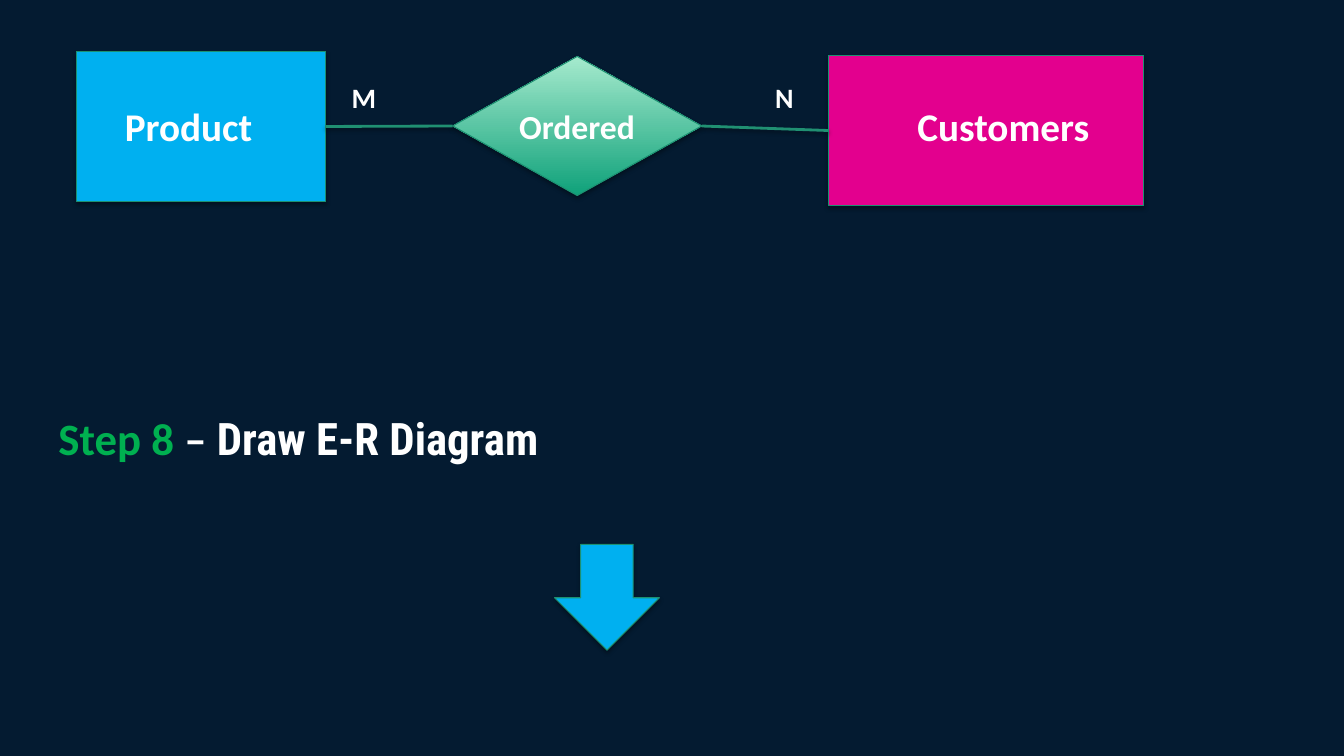
from lxml import etree
from pptx import Presentation
from pptx.dml.color import RGBColor
from pptx.enum.shapes import MSO_CONNECTOR, MSO_SHAPE
from pptx.enum.text import MSO_ANCHOR, MSO_AUTO_SIZE, PP_ALIGN
from pptx.oxml.ns import qn
from pptx.util import Pt

PX = 9144  # 100 px to the inch

NAVY = RGBColor(0x04, 0x1B, 0x31)
WHITE = RGBColor(0xFF, 0xFF, 0xFF)
BLUE = RGBColor(0x00, 0xB0, 0xF0)
PINK = RGBColor(0xE3, 0x00, 0x8E)
STEP_GREEN = RGBColor(0x00, 0xB0, 0x50)
DARK_GREEN = RGBColor(0x0F, 0xA1, 0x7A)
LIGHT_GREEN = RGBColor(0xA5, 0xEA, 0xCD)
OUTLINE = RGBColor(0x1D, 0x90, 0x71)
LINK = RGBColor(0x20, 0x90, 0x72)

LEFT_SITE, RIGHT_SITE = 1, 3  # connection sites of rectangles and diamonds


def px(*lengths):
    return [length * PX for length in lengths]


def add_shadow(shape, distance, opacity):
    """Give the shape a soft black shadow straight below it."""
    effects = etree.SubElement(shape._element.spPr, qn("a:effectLst"))
    shadow = etree.SubElement(
        effects, qn("a:outerShdw"), blurRad=str(Pt(3.1)),
        dist=str(Pt(distance)), dir="5400000", rotWithShape="0")
    color = etree.SubElement(shadow, qn("a:srgbClr"), val="000000")
    etree.SubElement(color, qn("a:alpha"), val=str(opacity * 1000))


def format_span(span, size, color, font="Calibri"):
    span.font.name = font
    span.font.size = Pt(size)
    span.font.bold = True
    span.font.color.rgb = color


def add_block(page, kind, box, color=None):
    """Add an outlined shape, with the green gradient if no color is given."""
    block = page.shapes.add_shape(kind, *px(*box))
    if color is None:
        block.fill.gradient()
        block.fill.gradient_angle = 90
        for stop, shade in zip(block.fill.gradient_stops, (DARK_GREEN, LIGHT_GREEN)):
            stop.color.rgb = shade
    else:
        block.fill.solid()
        block.fill.fore_color.rgb = color
    block.line.color.rgb = OUTLINE
    block.line.width = Pt(0.75)
    add_shadow(block, 1.8, 35)
    return block


def add_link(page, start, start_site, end, end_site):
    link = page.shapes.add_connector(MSO_CONNECTOR.STRAIGHT, 0, 0, 0, 0)
    link.begin_connect(start, start_site)
    link.end_connect(end, end_site)
    link.line.color.rgb = LINK
    link.line.width = Pt(2)
    add_shadow(link, 1.6, 38)


def add_label(page, text, size, box):
    frame = page.shapes.add_textbox(*px(*box)).text_frame
    frame.word_wrap = False
    frame.auto_size = MSO_AUTO_SIZE.SHAPE_TO_FIT_TEXT
    frame.text = text
    format_span(frame.paragraphs[0].runs[0], size, WHITE)


def add_relationship(page, left, top):
    """Draw the two entities, the relationship between them and their labels."""
    product = add_block(page, MSO_SHAPE.RECTANGLE, (left, top, 247, 149), BLUE)
    customers = add_block(page, MSO_SHAPE.RECTANGLE, (left + 746, top + 4, 312, 149), PINK)
    ordered = add_block(page, MSO_SHAPE.DIAMOND, (left + 373, top + 5, 247, 138))
    add_link(page, ordered, LEFT_SITE, product, RIGHT_SITE)
    add_link(page, ordered, RIGHT_SITE, customers, LEFT_SITE)
    for text, size, x, y, width, height in (
        ("Product", 28, 38, 46, 148, 57),
        ("Customers", 28, 824, 46, 192, 57),
        ("Ordered", 24, 429, 49, 136, 50),
        ("M", 20, 263, 24, 45, 44),
        ("N", 20, 683, 24, 39, 44),
    ):
        add_label(page, text, size, (left + x, top + y, width, height))


def set_title(page, box):
    title = page.shapes.title
    title.left, title.top, title.width, title.height = px(*box)
    frame = title.text_frame
    frame.margin_left = frame.margin_top = frame.margin_right = frame.margin_bottom = 0
    frame.word_wrap = True
    frame.auto_size = MSO_AUTO_SIZE.NONE
    frame.vertical_anchor = MSO_ANCHOR.TOP
    para = frame.paragraphs[0]
    para.alignment = PP_ALIGN.LEFT
    for text, color, font in (
        ("Step 8 ", STEP_GREEN, "Calibri"),
        ("– ", WHITE, "Calibri"),
        ("Draw E-R Diagram", WHITE, "Roboto Condensed"),
    ):
        span = para.add_run()
        span.text = text
        format_span(span, 32, color, font)


def main():
    deck = Presentation()
    deck.slide_width, deck.slide_height = px(1333, 750)
    page = deck.slides.add_slide(deck.slide_layouts.get_by_name("Title Only"))
    page.background.fill.solid()
    page.background.fill.fore_color.rgb = NAVY
    set_title(page, (58, 407, 1088, 108))
    add_relationship(page, 76, 51)
    add_block(page, MSO_SHAPE.DOWN_ARROW, (550, 540, 104, 105), BLUE)
    deck.save("out.pptx")


if __name__ == "__main__":
    main()
